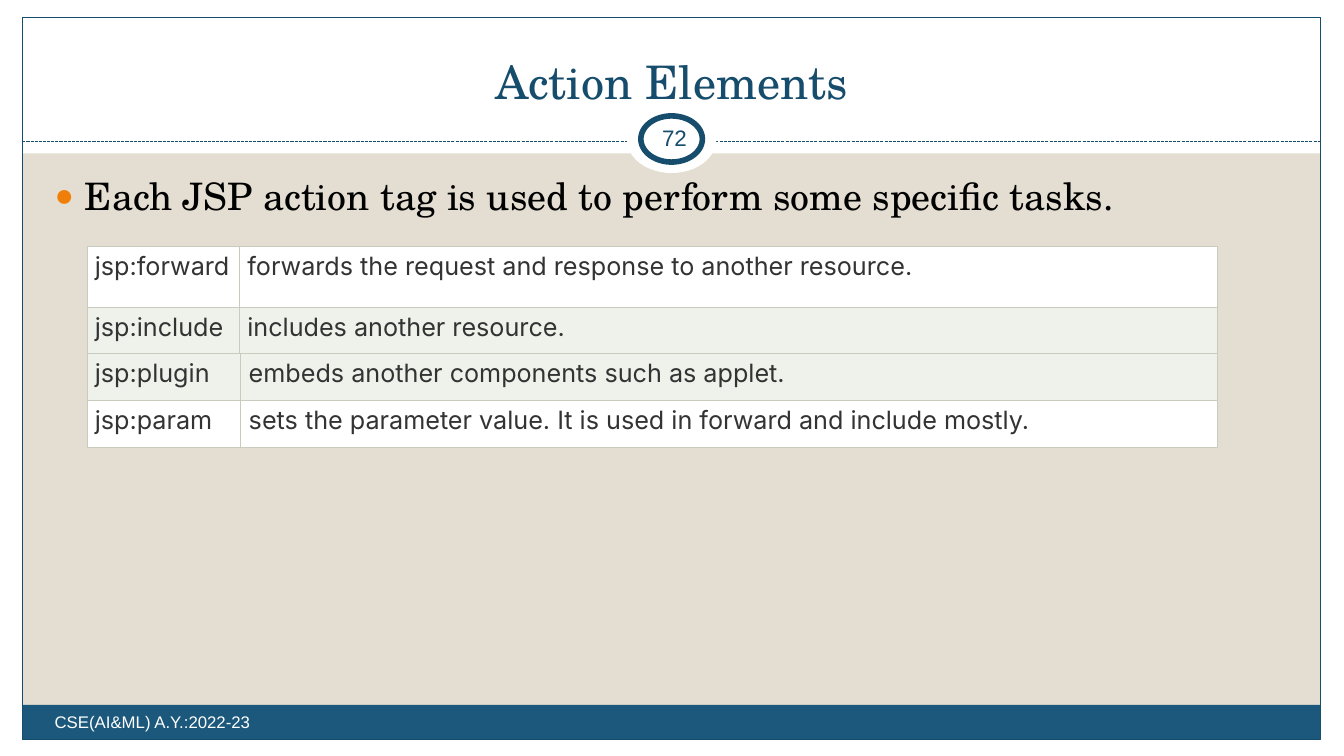
import pptx
import pptx.util
import pptx.dml.color
import pptx.enum.dml
import pptx.enum.shapes
import pptx.enum.text
import pptx.oxml
import pptx.oxml.ns

Pt = pptx.util.Pt
RGBColor = pptx.dml.color.RGBColor
SHAPE = pptx.enum.shapes.MSO_SHAPE
ALIGN = pptx.enum.text.PP_ALIGN
ANCHOR = pptx.enum.text.MSO_ANCHOR

WHITE = RGBColor(0xFF, 0xFF, 0xFF)
BLACK = RGBColor(0x00, 0x00, 0x00)
SAND = RGBColor(0xE3, 0xDE, 0xD1)
NAVY = RGBColor(0x16, 0x4C, 0x6C)
BLUE = RGBColor(0x1B, 0x58, 0x7C)
GREY = RGBColor(0x33, 0x33, 0x33)
PALE = RGBColor(0xEF, 0xF1, 0xEB)
NS = pptx.oxml.ns.nsdecls("a")


def write(tf, text, margins, anchor, align, name, size, color):
    """Fill a text frame with one formatted paragraph."""
    left, top, right, bottom = map(Pt, margins)
    frame_format = {"word_wrap": True, "vertical_anchor": anchor,
                    "margin_left": left, "margin_top": top,
                    "margin_right": right, "margin_bottom": bottom}
    for key, value in frame_format.items():
        setattr(tf, key, value)
    p = tf.paragraphs[0]
    p.alignment = align
    r = p.add_run()
    r.text = text
    for key, value in {"name": name, "size": Pt(size), "bold": False}.items():
        setattr(r.font, key, value)
    r.font.color.rgb = color
    return p


prs = pptx.Presentation()
prs.slide_width, prs.slide_height = Pt(960.5), Pt(540)
s = prs.slides.add_slide(prs.slide_layouts[5])
s.background.fill.solid()
s.background.fill.fore_color.rgb = SAND

# White margins, footer band and outer frame
FRAME = (16, 12.5, 927.5, 515.5)
panels = [
    ((0, 528, 960.5, 12), WHITE, None),
    ((0, 0, 960.5, 109.5), WHITE, None),
    ((0, 0, 16, 540), WHITE, None),
    ((943.5, 0, 17, 540), WHITE, None),
    ((16, 503.5, 927.5, 24.5), BLUE, None),
    (FRAME, None, 0.75),
]
# Page number badge
badge = [
    ((448, 75.6, 64, 48), WHITE, None),
    ((458, 82.8, 44, 33), WHITE, 4),
]
for kind, items in ((SHAPE.RECTANGLE, panels), (SHAPE.OVAL, badge)):
    for box, fill, width in items:
        sp = s.shapes.add_shape(kind, *map(Pt, box))
        sp.shadow.inherit = False
        if fill is None:
            sp.fill.background()
        else:
            sp.fill.solid()
            sp.fill.fore_color.rgb = fill
        if width is None:
            sp.line.fill.background()
        else:
            sp.line.color.rgb = NAVY
            sp.line.width = Pt(width)
    # Dashed rule lies over the panels and under the badge
    if kind == SHAPE.RECTANGLE:
        rule = s.shapes.add_connector(
            pptx.enum.shapes.MSO_CONNECTOR.STRAIGHT,
            Pt(16), Pt(101), Pt(943.5), Pt(101))
        rule.line.color.rgb = NAVY
        rule.line.width = Pt(0.75)
        rule.line.dash_style = pptx.enum.dml.MSO_LINE.SQUARE_DOT
        rule._element.spPr.append(pptx.oxml.parse_xml(f"<a:effectLst {NS}/>"))

# Title, brought in front of the white header
title = s.shapes.title
title.left, title.top, title.width, title.height = map(Pt, (32, 18, 896, 60))
write(title.text_frame, "Action Elements", (0, 0, 0, 0), ANCHOR.BOTTOM,
      ALIGN.CENTER, "TeX Gyre Schola", 33, NAVY)
s.shapes._spTree.append(title._element)

# Body, footer and page number
texts = [
    ((32, 120, 893, 360), "Each JSP action tag is used to perform some specific tasks.",
     (7.2, 3.6, 7.2, 3.6), ANCHOR.TOP, ALIGN.LEFT, "TeX Gyre Schola", 27, BLACK),
    ((32, 505, 376, 29), "CSE(AI&ML) A.Y.:2022-23",
     (7.2, 3.6, 7.2, 3.6), ANCHOR.TOP, ALIGN.LEFT, "Arial", 12, WHITE),
    ((458, 81, 48, 34.5), "72",
     (3.6, 3.6, 3.6, 3.6), ANCHOR.MIDDLE, ALIGN.CENTER, "Arial", 16, NAVY),
]
paragraphs = []
for box, *content in texts:
    tb = s.shapes.add_textbox(*map(Pt, box))
    paragraphs.append(write(tb.text_frame, *content))

# Orange bullet on the body paragraph
pPr = paragraphs[0]._p.get_or_add_pPr()
pPr.set("marL", str(Pt(21.6)))
pPr.set("indent", str(Pt(-21.6)))
for xml in (f'<a:buClr {NS}><a:srgbClr val="F07F09"/></a:buClr>',
            f'<a:buSzPct {NS} val="85000"/>',
            f'<a:buFont {NS} typeface="Arial"/>',
            f'<a:buChar {NS} char="●"/>'):
    pPr.append(pptx.oxml.parse_xml(xml))

# Two stacked tables of action tags
TABLE_WIDTH = 808
tables = [
    (175.8, 109, (43.5, 33.6), [
        ("jsp:forward", "forwards the request and response to another resource.", WHITE),
        ("jsp:include", "includes another resource.", PALE)]),
    (252.4, 110, (33.6, 33.6), [
        ("jsp:plugin", "embeds another components such as applet.", PALE),
        ("jsp:param", "sets the parameter value. It is used in forward and include mostly.",
         WHITE)]),
]
for top, tag_width, heights, rows in tables:
    table = s.shapes.add_table(2, 2, Pt(62), Pt(top), Pt(TABLE_WIDTH),
                               Pt(sum(heights))).table
    table.first_row = table.horz_banding = False
    table.columns[0].width = Pt(tag_width)
    table.columns[1].width = Pt(TABLE_WIDTH - tag_width)
    for i, (height, (tag, meaning, fill)) in enumerate(zip(heights, rows)):
        table.rows[i].height = Pt(height)
        for j, text in enumerate((tag, meaning)):
            cell = table.cell(i, j)
            p = write(cell.text_frame, text, (0, 0, 0, 0), ANCHOR.TOP,
                      ALIGN.JUSTIFY, "Inter", 18, GREY)
            cell.margin_left = cell.margin_right = Pt(5.8)
            cell.margin_top = cell.margin_bottom = Pt(3.6)
            tcPr = cell._tc.get_or_add_tcPr()
            for side in ("lnL", "lnR", "lnT", "lnB"):
                tcPr.append(pptx.oxml.parse_xml(
                    f'<a:{side} {NS} w="{Pt(0.34)}"><a:solidFill>'
                    f'<a:srgbClr val="C7CCBE"/></a:solidFill></a:{side}>'))
            cell.fill.solid()
            cell.fill.fore_color.rgb = fill

prs.save("out.pptx")
